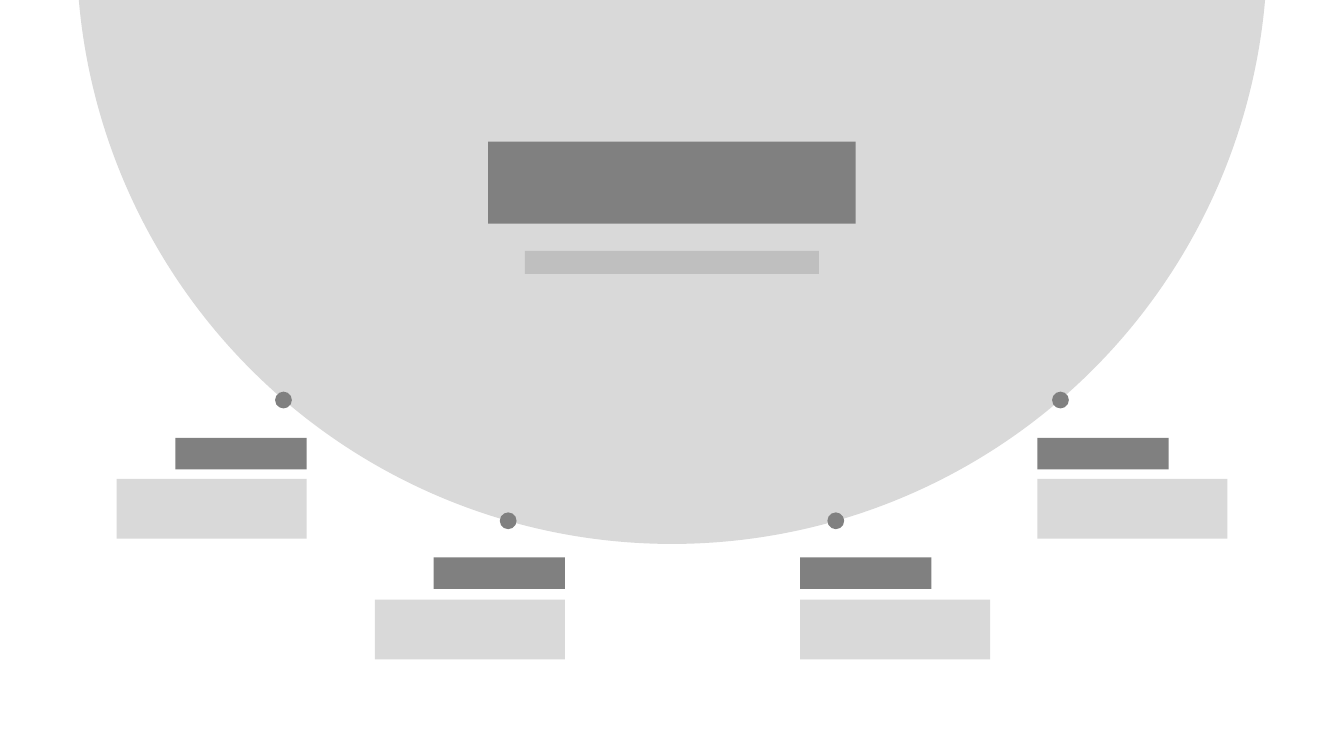
from dataclasses import dataclass

from pptx import Presentation
from pptx.dml.color import RGBColor
from pptx.enum.shapes import MSO_SHAPE
from pptx.slide import Slide
from pptx.util import Emu

RECTANGLE = MSO_SHAPE.RECTANGLE
OVAL = MSO_SHAPE.OVAL

DARK = RGBColor(0x80, 0x80, 0x80)
MEDIUM = RGBColor(0xBF, 0xBF, 0xBF)
LIGHT = RGBColor(0xD9, 0xD9, 0xD9)

EMU_PER_PX = 9525
SLIDE_WIDTH, SLIDE_HEIGHT = 1280, 720
CENTER = SLIDE_WIDTH // 2
DOT_SIZE = 16
HEADING_WIDTH, HEADING_HEIGHT = 125, 30
DETAIL_WIDTH, DETAIL_HEIGHT = 181, 57


@dataclass(frozen=True)
class Milestone:
    dot_x: int
    dot_y: int
    text_edge: int
    heading_top: int
    detail_top: int


MILESTONES = [
    Milestone(270, 381, 292, 417, 456),
    Milestone(484, 496, 538, 531, 571),
    Milestone(796, 496, 762, 531, 571),
    Milestone(1010, 381, 988, 417, 456),
]


def px(length: int) -> Emu:
    return Emu(length * EMU_PER_PX)


def add_block(slide: Slide, kind: MSO_SHAPE, left: int, top: int,
              width: int, height: int, color: RGBColor) -> None:
    shape = slide.shapes.add_shape(kind, px(left), px(top), px(width), px(height))
    shape.shadow.inherit = False
    shape.fill.solid()
    shape.fill.fore_color.rgb = color
    shape.line.fill.background()


def add_centered(slide: Slide, kind: MSO_SHAPE, top: int,
                 width: int, height: int, color: RGBColor) -> None:
    add_block(slide, kind, CENTER - width // 2, top, width, height, color)


def add_milestone(slide: Slide, milestone: Milestone) -> None:
    radius = DOT_SIZE // 2
    add_block(slide, OVAL, milestone.dot_x - radius, milestone.dot_y - radius,
              DOT_SIZE, DOT_SIZE, DARK)
    right_aligned = milestone.dot_x < CENTER
    for top, width, height, color in (
        (milestone.heading_top, HEADING_WIDTH, HEADING_HEIGHT, DARK),
        (milestone.detail_top, DETAIL_WIDTH, DETAIL_HEIGHT, LIGHT),
    ):
        left = milestone.text_edge - (width if right_aligned else 0)
        add_block(slide, RECTANGLE, left, top, width, height, color)


def main() -> None:
    presentation = Presentation()
    presentation.slide_width = px(SLIDE_WIDTH)
    presentation.slide_height = px(SLIDE_HEIGHT)
    slide = presentation.slides.add_slide(presentation.slide_layouts[6])

    add_centered(slide, OVAL, -616, 1134, 1134, LIGHT)
    add_centered(slide, RECTANGLE, 135, 350, 78, DARK)
    add_centered(slide, RECTANGLE, 239, 280, 22, MEDIUM)
    for milestone in MILESTONES:
        add_milestone(slide, milestone)

    presentation.save("out.pptx")


if __name__ == "__main__":
    main()
